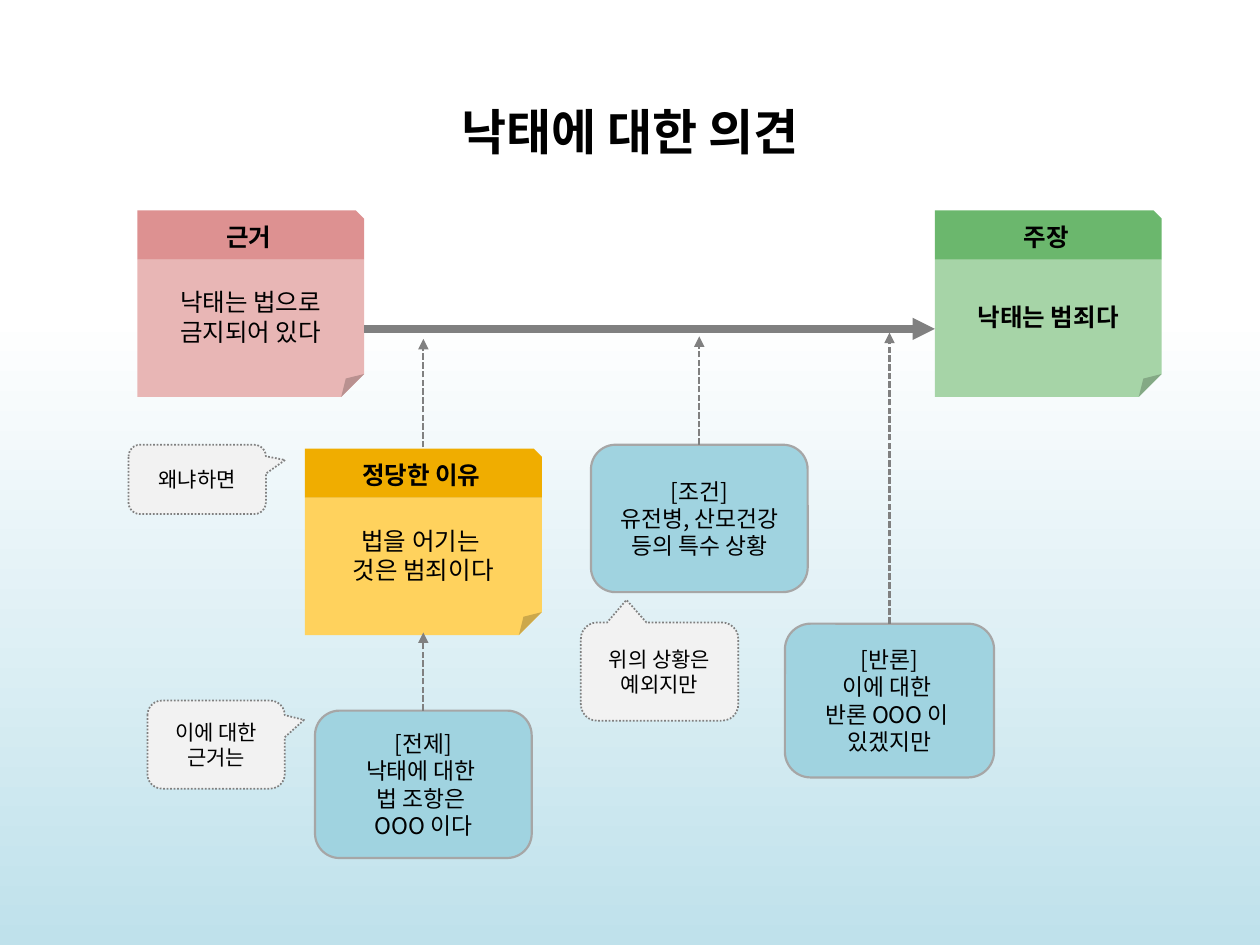
from pptx import Presentation
from pptx.dml.color import RGBColor
from pptx.enum.dml import MSO_LINE
from pptx.enum.shapes import MSO_CONNECTOR, MSO_SHAPE
from pptx.enum.text import MSO_ANCHOR, MSO_AUTO_SIZE, PP_ALIGN
from pptx.oxml.ns import qn
from pptx.util import Inches, Pt
from lxml.etree import SubElement

FONT = "Noto Sans CJK KR"
BLACK = RGBColor(0x00, 0x00, 0x00)
WHITE = RGBColor(0xFF, 0xFF, 0xFF)
SKY = RGBColor(0xBF, 0xE1, 0xEB)
PINK = RGBColor(0xE8, 0xB6, 0xB5)
DARK_PINK = RGBColor(0xDD, 0x91, 0x91)
YELLOW = RGBColor(0xFF, 0xD2, 0x5D)
AMBER = RGBColor(0xF0, 0xAD, 0x00)
LIGHT_GREEN = RGBColor(0xA6, 0xD4, 0xA7)
GREEN = RGBColor(0x6B, 0xB7, 0x6D)
BLUE = RGBColor(0xA0, 0xD3, 0xE0)
BORDER = RGBColor(0xA6, 0xA6, 0xA6)
GRAY = RGBColor(0x80, 0x80, 0x80)
PALE = RGBColor(0xF2, 0xF2, 0xF2)

TAB_HEIGHT = 0.39
NOTE_HEIGHT = 1.09


def write_text(shape, *paragraphs, size, bold=False):
    """Write centred paragraphs; a newline inside one is a line break."""
    frame = shape.text_frame
    frame.word_wrap = True
    for index, text in enumerate(paragraphs):
        paragraph = frame.add_paragraph() if index else frame.paragraphs[0]
        paragraph.text = text
        paragraph.alignment = PP_ALIGN.CENTER
        for run in paragraph.runs:
            run.font.size = Pt(size)
            run.font.bold = bold
            run.font.color.rgb = BLACK
            run.font.name = FONT
            east_asian = SubElement(run.font._element, qn("a:ea"))
            east_asian.set("typeface", FONT)


def add_box(shapes, kind, left, top, width, height, fill):
    shape = shapes.add_shape(kind, Inches(left), Inches(top),
                             Inches(width), Inches(height))
    shape.shadow.inherit = False
    shape.fill.solid()
    shape.fill.fore_color.rgb = fill
    shape.line.fill.background()
    shape.text_frame.vertical_anchor = MSO_ANCHOR.MIDDLE
    return shape


def set_line(shape, color, width, dash=None):
    shape.line.color.rgb = color
    shape.line.width = Pt(width)
    if dash:
        shape.line.dash_style = dash


def add_note(slide, left, top, width, heading, body, tab_fill, fill, bold=False):
    """Add a grouped sticky note: a folded sheet below a heading tab."""
    shapes = slide.shapes.add_group_shape().shapes
    sheet = add_box(shapes, MSO_SHAPE.FOLDED_CORNER, left, top + TAB_HEIGHT,
                    width, NOTE_HEIGHT, fill)
    write_text(sheet, body, size=14, bold=bold)
    tab = add_box(shapes, MSO_SHAPE.SNIP_1_RECTANGLE, left, top,
                  width, TAB_HEIGHT, tab_fill)
    write_text(tab, heading, size=14, bold=True)


def add_card(slide, left, top, width, height, *paragraphs):
    card = add_box(slide.shapes, MSO_SHAPE.ROUNDED_RECTANGLE,
                   left, top, width, height, BLUE)
    set_line(card, BORDER, 1.25)
    write_text(card, *paragraphs, size=13)


def add_callout(slide, left, top, width, height, text, tip):
    callout = add_box(slide.shapes, MSO_SHAPE.ROUNDED_RECTANGULAR_CALLOUT,
                      left, top, width, height, PALE)
    callout.adjustments[0], callout.adjustments[1] = tip
    set_line(callout, GRAY, 1, MSO_LINE.ROUND_DOT)
    # The short dotted pattern has no preset of its own in MSO_LINE.
    callout.line._ln.find(qn("a:prstDash")).set("val", "sysDot")
    write_text(callout, text, size=12)


def add_arrow(slide, start, end, width, dash=None):
    arrow = slide.shapes.add_connector(
        MSO_CONNECTOR.STRAIGHT, *map(Inches, start), *map(Inches, end))
    set_line(arrow, GRAY, width, dash)
    SubElement(arrow.line._ln, qn("a:tailEnd")).set("type", "triangle")
    SubElement(arrow._element.spPr, qn("a:effectLst"))


def add_title(slide, text):
    title = slide.shapes.add_textbox(Inches(2.42), Inches(0.76),
                                     Inches(5.16), Inches(0.57))
    write_text(title, text, size=28, bold=True)
    title.text_frame.auto_size = MSO_AUTO_SIZE.SHAPE_TO_FIT_TEXT


def paint_background(slide):
    fill = slide.background.fill
    fill.gradient()
    fill.gradient_angle = 270
    for stop, position, color in zip(fill.gradient_stops, (0.33, 1), (WHITE, SKY)):
        stop.position = position
        stop.color.rgb = color


def main():
    presentation = Presentation()
    presentation.slide_width = Inches(10)
    presentation.slide_height = Inches(7.5)
    slide = presentation.slides.add_slide(presentation.slide_layouts[6])
    paint_background(slide)

    add_note(slide, 1.09, 1.67, 1.8, "근거", "낙태는 법으로 금지되어 있다",
             DARK_PINK, PINK)
    add_note(slide, 2.42, 3.56, 1.88, "정당한 이유", "법을 어기는 \n것은 범죄이다",
             AMBER, YELLOW)
    add_note(slide, 7.42, 1.67, 1.8, "주장", "낙태는 범죄다",
             GREEN, LIGHT_GREEN, bold=True)

    add_card(slide, 2.5, 5.64, 1.72, 1.17,
             "[전제]\n낙태에 대한 \n법 조항은 \nOOO 이다")
    add_card(slide, 6.23, 4.95, 1.66, 1.22,
             "[반론]", "이에 대한 \n반론 OOO 이 \n있겠지만")
    add_card(slide, 4.69, 3.53, 1.72, 1.17,
             "[조건]", "유전병, 산모건강 등의 특수 상황")

    for x, bottom, top in ((3.36, 3.55, 2.69), (3.36, 5.64, 5.02),
                           (7.06, 4.95, 2.64), (5.55, 3.53, 2.67)):
        add_arrow(slide, (x, bottom), (x, top), 1.25, MSO_LINE.SQUARE_DOT)

    add_title(slide, "낙태에 대한 의견")

    right_tip = (0.64, -0.28)
    add_callout(slide, 1.02, 3.53, 1.09, 0.55, "왜냐하면", right_tip)
    add_callout(slide, 1.17, 5.56, 1.09, 0.7, "이에 대한 근거는", right_tip)
    add_callout(slide, 4.61, 4.94, 1.25, 0.78, "위의 상황은 예외지만", (-0.21, -0.73))

    add_arrow(slide, (2.89, 2.61), (7.42, 2.61), 4.25)
    presentation.save("out.pptx")


if __name__ == "__main__":
    main()
